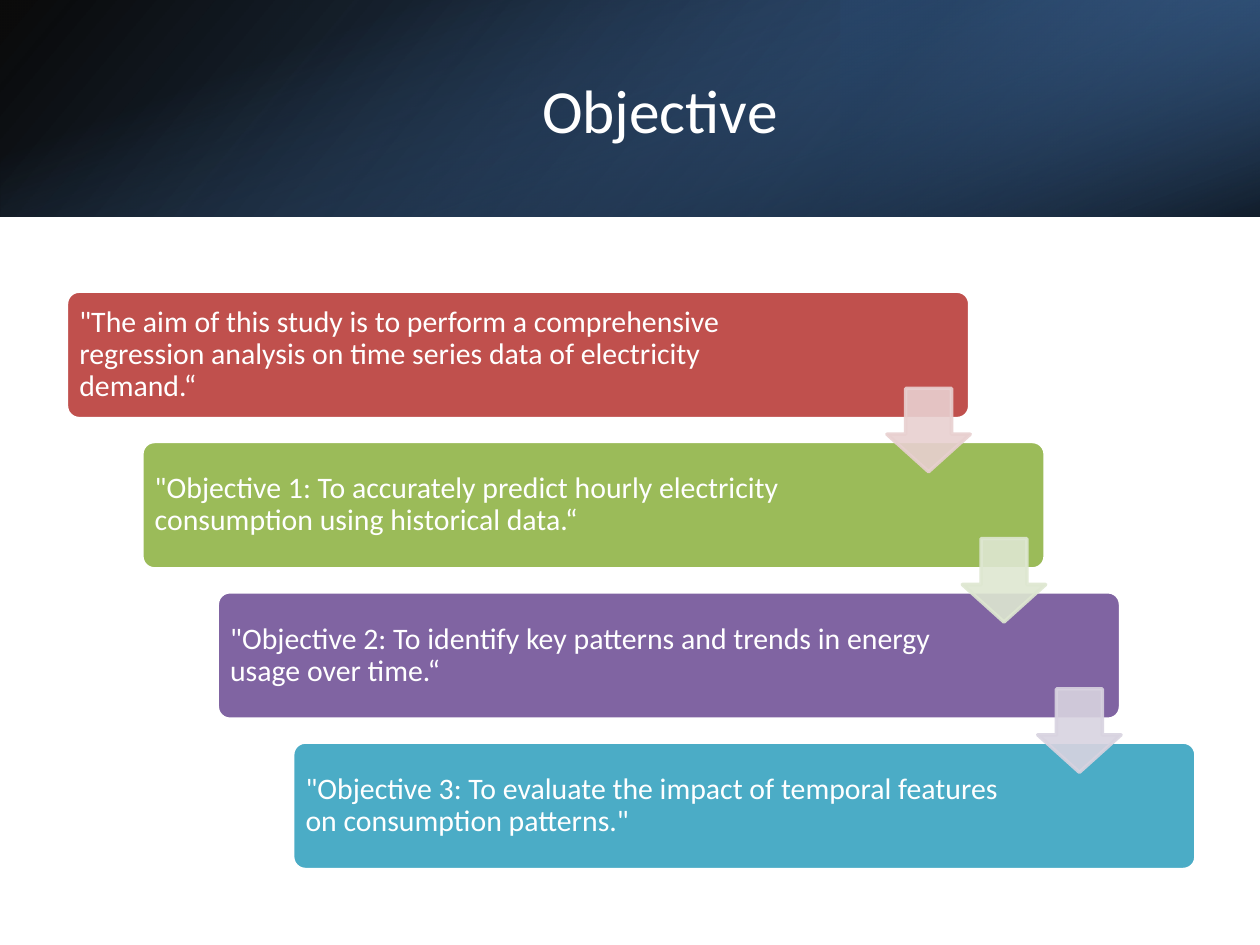
from dataclasses import dataclass

import pptx
import pptx.dml.color
import pptx.enum.shapes
import pptx.enum.text
import pptx.oxml
import pptx.oxml.ns
import pptx.util
from pptx.util import Cm, Pt

SHAPES = pptx.enum.shapes.MSO_SHAPE
ALIGN = pptx.enum.text.PP_ALIGN
WHITE = "FFFFFF"
HEADER_HEIGHT = 4.37
FIRST_LEFT, FIRST_TOP = 1.34, 5.87
STEP_X, STEP_Y = 1.52, 3.03
CARD_WIDTH, CARD_HEIGHT = 18.21, 2.57
ARROW_SIZE, ARROW_DX, ARROW_DY = 1.68, 16.54, 1.96
TEXT_INSET = 0.08


@dataclass
class Stop:
    position: int
    color: str
    opacity: int


@dataclass
class Band:
    left: float
    top: float
    width: float
    height: float
    rotation: int
    flipped: bool
    angle: int
    stops: tuple[Stop, Stop]


@dataclass
class Objective:
    text: str
    color: str
    text_width: float = 14.88
    arrow_color: str = ""


BANDS = [
    Band(0, 0, 25.4, HEADER_HEIGHT, 0, True, 140,
         (Stop(0, "000000", 96), Stop(100, "376092", 100))),
    Band(16.94, 0, 8.46, HEADER_HEIGHT, 180, True, 320,
         (Stop(19, "254061", 68), Stop(100, "4F81BD", 79))),
    Band((25.4 - HEADER_HEIGHT) / 2, (HEADER_HEIGHT - 25.4) / 2, HEADER_HEIGHT, 25.4,
         90, False, 340, (Stop(23, "4F81BD", 0), Stop(99, "000000", 74))),
]

OBJECTIVES = [
    Objective('"The aim of this study is to perform a comprehensive regression '
              'analysis on time series data of electricity demand.“',
              "C0504D", 15.24, "E8D0D0"),
    Objective('"Objective 1: To accurately predict hourly electricity '
              'consumption using historical data.“', "9BBB59", arrow_color="DEE7D1"),
    Objective('"Objective 2: To identify key patterns and trends in energy '
              'usage over time.“', "8064A2", arrow_color="D8D3E0"),
    Objective('"Objective 3: To evaluate the impact of temporal features '
              'on consumption patterns."', "4BACC6"),
]


def rgb(color: str) -> pptx.dml.color.RGBColor:
    return pptx.dml.color.RGBColor.from_string(color)


def apply_format(target, values: dict) -> None:
    for name, value in values.items():
        setattr(target, name, value)


def add_band(slide, band: Band) -> None:
    shape = slide.shapes.add_shape(SHAPES.RECTANGLE, Cm(band.left), Cm(band.top),
                                   Cm(band.width), Cm(band.height))
    shape.shadow.inherit = False
    shape.line.fill.background()
    shape.rotation = band.rotation
    properties = shape._element.spPr
    if band.flipped:
        properties.xfrm.set("flipH", "1")
    stops = "".join(
        f'<a:gs pos="{stop.position * 1000}"><a:srgbClr val="{stop.color}">'
        f'<a:alpha val="{stop.opacity * 1000}"/></a:srgbClr></a:gs>'
        for stop in band.stops)
    gradient = pptx.oxml.parse_xml(
        f'<a:gradFill {pptx.oxml.ns.nsdecls("a")} rotWithShape="1"><a:gsLst>{stops}</a:gsLst>'
        f'<a:lin ang="{band.angle * 60000}" scaled="0"/></a:gradFill>')
    properties.find(pptx.oxml.ns.qn("a:prstGeom")).addnext(gradient)


def add_solid(slide, kind, box: tuple, adjustments: tuple, fill: str, line: str):
    shape = slide.shapes.add_shape(kind, *map(Cm, box))
    shape.shadow.inherit = False
    for index, value in enumerate(adjustments):
        shape.adjustments[index] = value
    shape.fill.solid()
    shape.fill.fore_color.rgb = rgb(fill)
    shape.line.color.rgb = rgb(line)
    shape.line.width = Pt(2)
    return shape


def add_text(slide, box: tuple, text: str, size: int, margin: float, paragraph_format: dict) -> None:
    frame = slide.shapes.add_textbox(*map(Cm, box)).text_frame
    apply_format(frame, {
        "word_wrap": True,
        "vertical_anchor": pptx.enum.text.MSO_ANCHOR.MIDDLE,
        "margin_left": Cm(margin), "margin_right": Cm(margin),
        "margin_top": Cm(margin), "margin_bottom": Cm(margin),
    })
    paragraph = frame.paragraphs[0]
    apply_format(paragraph, paragraph_format)
    run = paragraph.add_run()
    run.text = text
    apply_format(run.font, {"name": "Calibri", "size": Pt(size)})
    run.font.color.rgb = rgb(WHITE)


def add_card(slide, index: int, objective: Objective) -> None:
    left, top = FIRST_LEFT + index * STEP_X, FIRST_TOP + index * STEP_Y
    add_solid(slide, SHAPES.ROUNDED_RECTANGLE, (left, top, CARD_WIDTH, CARD_HEIGHT),
              (0.1,), objective.color, WHITE)
    text_box = (left + TEXT_INSET, top + TEXT_INSET,
                objective.text_width, CARD_HEIGHT - 2 * TEXT_INSET)
    add_text(slide, text_box, objective.text, 17, 0.18,
             {"alignment": ALIGN.LEFT, "line_spacing": 0.9})


def add_arrow(slide, index: int, color: str) -> None:
    box = (FIRST_LEFT + ARROW_DX + index * STEP_X, FIRST_TOP + ARROW_DY + index * STEP_Y,
           ARROW_SIZE, ARROW_SIZE)
    # The preset lists the head length first, then the shaft width.
    arrow = add_solid(slide, SHAPES.DOWN_ARROW, box, (0.55, 0.45), color, color)
    for tint in arrow._element.spPr.iter(pptx.oxml.ns.qn("a:srgbClr")):
        tint.append(pptx.oxml.parse_xml(
            f'<a:alpha {pptx.oxml.ns.nsdecls("a")} val="90000"/>'))


def main() -> None:
    deck = pptx.Presentation()
    apply_format(deck, {"slide_width": Cm(25.4), "slide_height": Cm(19.05)})
    slide = deck.slides.add_slide(deck.slide_layouts[6])
    for band in BANDS:
        add_band(slide, band)
    add_text(slide, (2.84, 0.97, 20.93, 2.44), "Objective", 35, 0.2,
             {"alignment": ALIGN.CENTER})
    for index, objective in enumerate(OBJECTIVES):
        add_card(slide, index, objective)
    for index, objective in enumerate(OBJECTIVES):
        if objective.arrow_color:
            add_arrow(slide, index, objective.arrow_color)
    deck.save("out.pptx")


if __name__ == "__main__":
    main()
